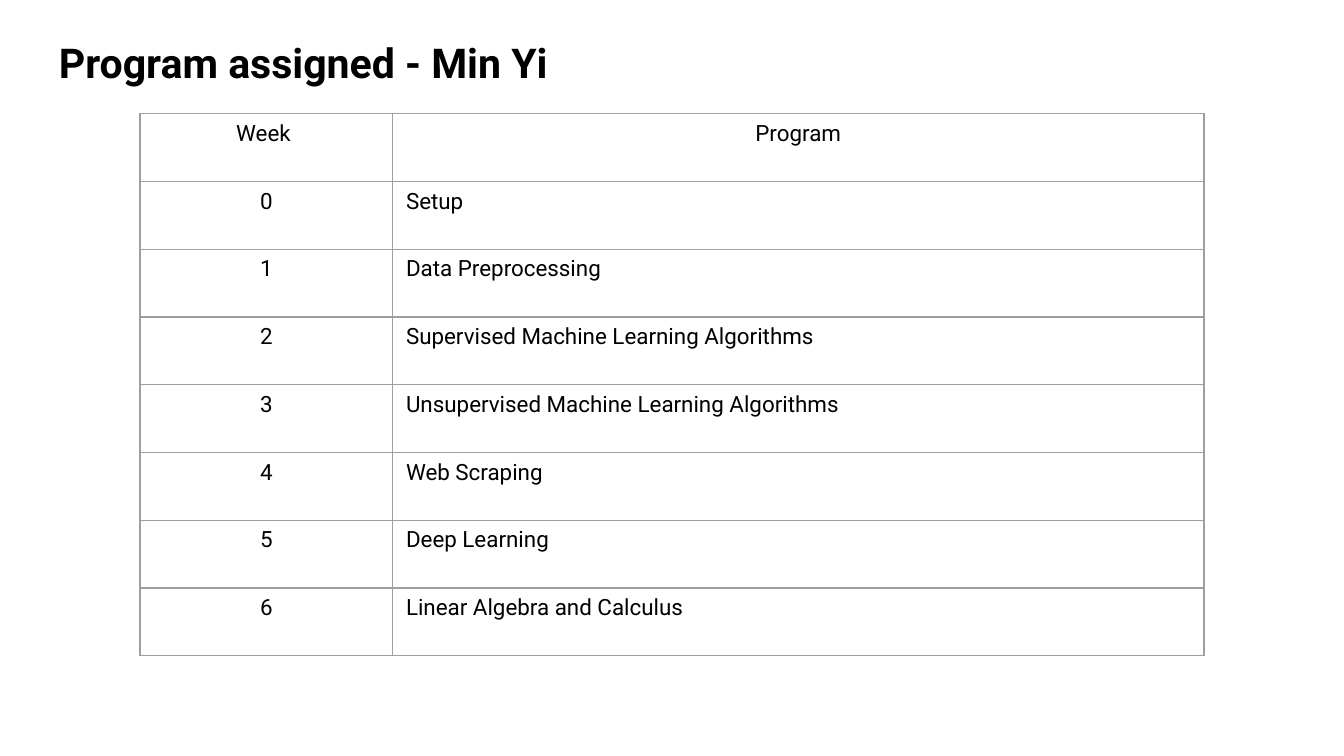
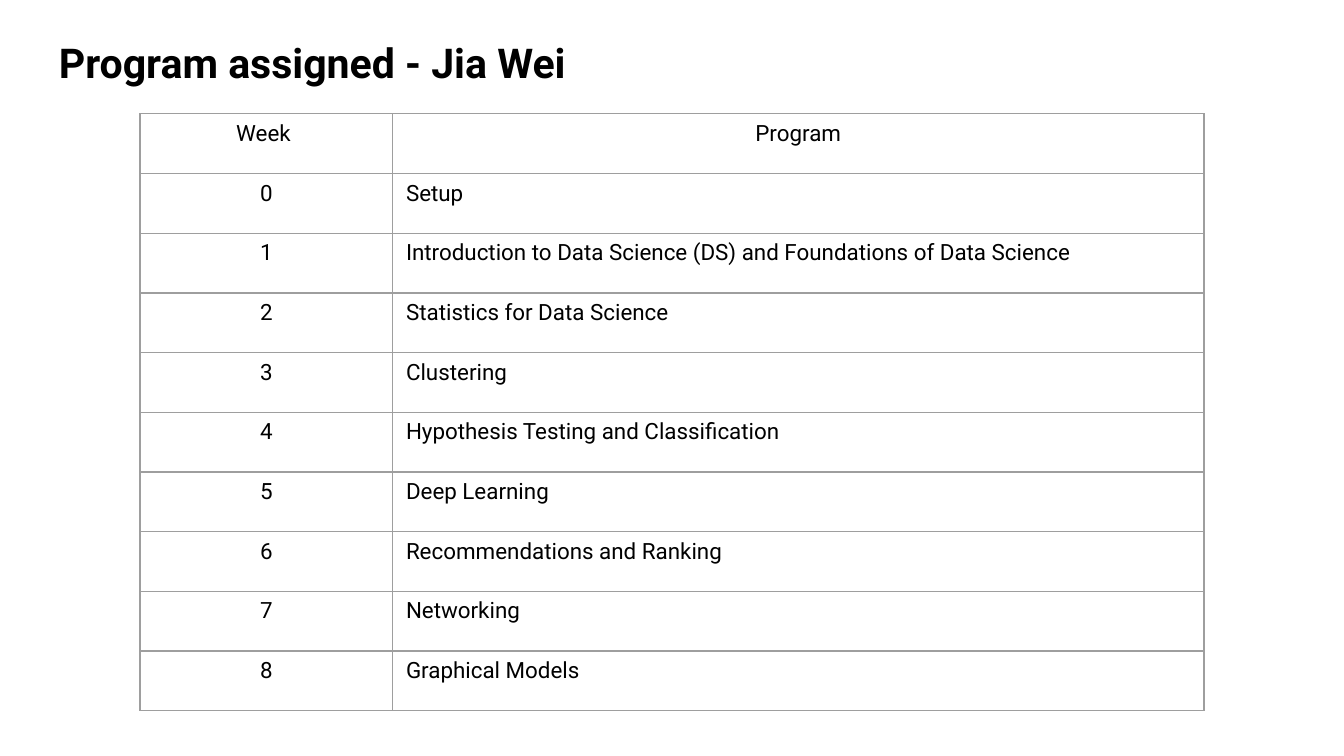
from dataclasses import dataclass

from lxml.etree import SubElement
from pptx import Presentation
from pptx.dml.color import RGBColor
from pptx.enum.text import MSO_ANCHOR, PP_ALIGN
from pptx.oxml.ns import qn
from pptx.slide import Slide
from pptx.table import _Cell
from pptx.text.text import TextFrame
from pptx.util import Length, Pt

# Shared style
FONT = "Roboto"
BLACK = RGBColor(0x00, 0x00, 0x00)
GRID_GREY = RGBColor(0x9E, 0x9E, 0x9E)
TITLE_SIZE = Pt(22)
CELL_SIZE = Pt(12)
INSET = Pt(7.2)
GRID_WIDTH = Pt(0.75)

# Shared layout
SLIDE_WIDTH, SLIDE_HEIGHT = Pt(720), Pt(405)
TITLE_BOX = Pt(24.5), Pt(10.8), Pt(671), Pt(45.4)
TABLE_LEFT, TABLE_TOP = Pt(75), Pt(61)
COLUMN_WIDTHS = Pt(135.3), Pt(434.7)
HEADINGS = "Week ", "Program"


@dataclass(frozen=True)
class Schedule:
    student: str
    row_height: Length
    programs: tuple[str, ...]  # one per week, from week 0


SCHEDULES = (
    Schedule("Min Yi", Pt(36.3), (
        "Setup",
        "Data Preprocessing",
        "Supervised Machine Learning Algorithms",
        "Unsupervised Machine Learning Algorithms",
        "Web Scraping",
        "Deep Learning",
        "Linear Algebra and Calculus",
    )),
    Schedule("Jia Wei", Pt(32), (
        "Setup",
        "Introduction to Data Science (DS) and Foundations of Data Science",
        "Statistics for Data Science",
        "Clustering",
        "Hypothesis Testing and Classification",
        "Deep Learning",
        "Recommendations and Ranking",
        "Networking",
        "Graphical Models",
    )),
)


def write(frame: TextFrame, text: str, size: Length, align: PP_ALIGN, bold: bool = False) -> None:
    frame.word_wrap = True
    frame.margin_left = frame.margin_right = INSET
    frame.margin_top = frame.margin_bottom = INSET
    paragraph = frame.paragraphs[0]
    paragraph.alignment = align
    run = paragraph.add_run()
    run.text = text
    run.font.name = FONT
    run.font.size = size
    run.font.bold = bold
    run.font.color.rgb = BLACK


def draw_borders(cell: _Cell) -> None:
    properties = cell._tc.get_or_add_tcPr()
    for position, side in enumerate(("a:lnL", "a:lnR", "a:lnT", "a:lnB")):
        line = SubElement(properties, qn(side), w=str(GRID_WIDTH))
        fill = SubElement(line, qn("a:solidFill"))
        SubElement(fill, qn("a:srgbClr"), val=str(GRID_GREY))
        properties.insert(position, line)  # borders come before the fill


def add_title(slide: Slide, student: str) -> None:
    frame = slide.shapes.add_textbox(*TITLE_BOX).text_frame
    frame.vertical_anchor = MSO_ANCHOR.MIDDLE
    write(frame, f"Program assigned - {student}", TITLE_SIZE, PP_ALIGN.JUSTIFY, bold=True)


def add_schedule_table(slide: Slide, schedule: Schedule) -> None:
    weeks = [(str(week), program) for week, program in enumerate(schedule.programs)]
    rows = [HEADINGS, *weeks]
    table = slide.shapes.add_table(
        len(rows), len(HEADINGS), TABLE_LEFT, TABLE_TOP,
        sum(COLUMN_WIDTHS), schedule.row_height * len(rows),
    ).table
    table.first_row = table.horz_banding = False
    for column, width in zip(table.columns, COLUMN_WIDTHS):
        column.width = width
    for r, texts in enumerate(rows):
        table.rows[r].height = schedule.row_height
        for c, text in enumerate(texts):
            cell = table.cell(r, c)
            cell.fill.background()
            draw_borders(cell)
            # Headings and week numbers are centred
            align = PP_ALIGN.CENTER if r == 0 or c == 0 else PP_ALIGN.JUSTIFY
            write(cell.text_frame, text, CELL_SIZE, align)


def main() -> None:
    deck = Presentation()
    deck.slide_width, deck.slide_height = SLIDE_WIDTH, SLIDE_HEIGHT
    blank = deck.slide_layouts[6]
    for schedule in SCHEDULES:
        slide = deck.slides.add_slide(blank)
        add_title(slide, schedule.student)
        add_schedule_table(slide, schedule)
    deck.save("out.pptx")


if __name__ == "__main__":
    main()
